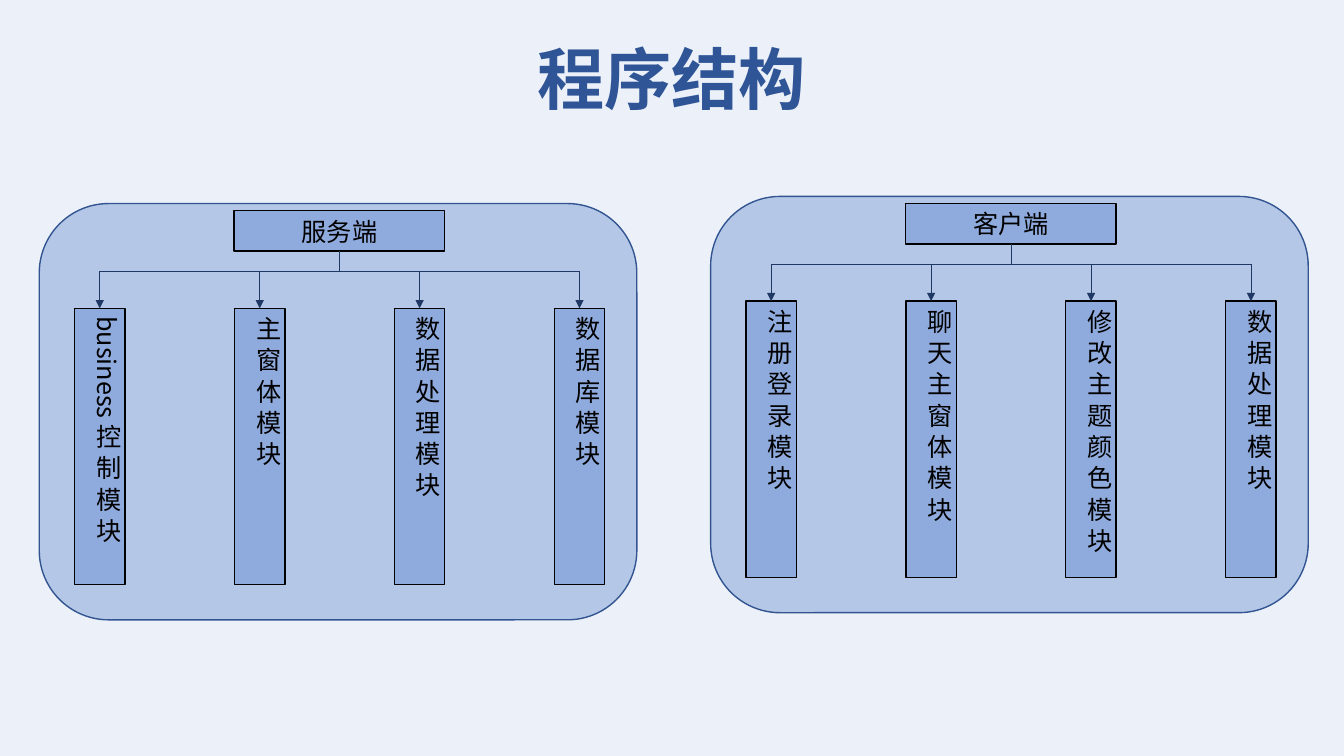
from lxml import etree
from pptx import Presentation
from pptx.dml.color import RGBColor
from pptx.enum import shapes, text
from pptx.oxml import ns
from pptx.util import Cm, Pt

BACKGROUND = RGBColor(0xEC, 0xF1, 0xF9)
PANEL_FILL = RGBColor(0xB4, 0xC7, 0xE7)
PANEL_LINE = RGBColor(0x32, 0x54, 0x91)
BOX_FILL = RGBColor(0x8F, 0xAA, 0xDC)
BLACK = RGBColor(0, 0, 0)
CONNECTOR = RGBColor(0x20, 0x38, 0x64)
TITLE = RGBColor(0x2F, 0x55, 0x97)
FONT = "Noto Sans CJK SC"

PANEL_WIDTH, PANEL_HEIGHT = 15.06, 10.49
HEADER_WIDTH, HEADER_HEIGHT = 5.31, 1.02
MODULE_WIDTH, MODULE_HEIGHT, MODULE_PITCH = 1.27, 6.96, 4.03

PANELS = [
    (0.99, 5.13, "服务端",
     ["business 控 制 模 块", "主 窗 体 模 块", "数 据 处 理 模 块", "数 据 库 模 块"]),
    (17.91, 4.95, "客户端",
     ["注 册 登 录 模 块", "聊 天 主 窗 体 模 块", "修 改 主 题 颜 色 模 块", "数 据 处 理 模 块"]),
]


def add_box(group, kind, place, fill, line, label="", vertical=False):
    box = group.shapes.add_shape(kind, *(Cm(length) for length in place))
    box.shadow.inherit = False
    box.fill.solid()
    box.fill.fore_color.rgb = fill
    box.line.color.rgb = line
    box.line.width = Pt(1)
    if label:
        frame = box.text_frame
        frame.text = label
        para = frame.paragraphs[0]
        para.alignment = text.PP_ALIGN.CENTER
        span = para.runs[0]
        span.font.size = Pt(18)
        span.font.name = FONT
        span.font.color.rgb = BLACK
        etree.SubElement(span.font._element, ns.qn("a:ea"), typeface=FONT)
        if vertical:
            para.alignment = text.PP_ALIGN.LEFT
            frame.vertical_anchor = text.MSO_ANCHOR.TOP
            frame.margin_left, frame.margin_right = 0, Cm(0.05)
            frame.margin_top = frame.margin_bottom = Cm(0.2)
            frame._txBody.bodyPr.set("vert", "eaVert")


def add_line(group, start, end, arrow=False):
    line = group.shapes.add_connector(
        shapes.MSO_CONNECTOR.STRAIGHT, *(Cm(length) for length in start + end))
    line.line.color.rgb = CONNECTOR
    line.line.width = Pt(0.5)
    if arrow:
        etree.SubElement(line.line._get_or_add_ln(), ns.qn("a:tailEnd"), type="triangle")
    etree.SubElement(line._element.spPr, ns.qn("a:effectLst"))


deck = Presentation()
deck.slide_width, deck.slide_height = Cm(33.87), Cm(19.05)
page = deck.slides.add_slide(deck.slide_layouts.get_by_name("Title Only"))
page.background.fill.solid()
page.background.fill.fore_color.rgb = BACKGROUND

title = page.shapes.title
title.left, title.top, title.width, title.height = Cm(13.26), Cm(0.81), Cm(7.34), Cm(2.31)
title.text_frame.text = "程序结构"
title.text_frame.word_wrap = False
title.text_frame.vertical_anchor = text.MSO_ANCHOR.MIDDLE
title.text_frame.paragraphs[0].alignment = text.PP_ALIGN.CENTER
span = title.text_frame.paragraphs[0].runs[0]
span.font.size = Pt(48)
span.font.bold = True
span.font.name = FONT
span.font.color.rgb = TITLE
etree.SubElement(span.font._element, ns.qn("a:ea"), typeface=FONT)

for left, top, heading, modules in PANELS:
    group = page.shapes.add_group_shape()
    add_box(group, shapes.MSO_SHAPE.ROUNDED_RECTANGLE,
            (left, top, PANEL_WIDTH, PANEL_HEIGHT), PANEL_FILL, PANEL_LINE)

    header_left, header_top = left + 4.91, top + 0.18
    add_box(group, shapes.MSO_SHAPE.RECTANGLE,
            (header_left, header_top, HEADER_WIDTH, HEADER_HEIGHT), BOX_FILL, BLACK, heading)

    bus_top, module_top = top + 1.7, top + 2.64
    centers = []
    for index, label in enumerate(modules):
        module_left = left + 0.89 + index * MODULE_PITCH
        add_box(group, shapes.MSO_SHAPE.RECTANGLE,
                (module_left, module_top, MODULE_WIDTH, MODULE_HEIGHT),
                BOX_FILL, BLACK, label, vertical=True)
        centers.append(module_left + MODULE_WIDTH / 2)

    add_line(group, (centers[0], bus_top), (centers[-1], bus_top))
    for center in centers:
        add_line(group, (center, bus_top), (center, module_top), arrow=True)
    trunk = header_left + HEADER_WIDTH / 2
    add_line(group, (trunk, header_top + HEADER_HEIGHT), (trunk, bus_top))

deck.save("out.pptx")
